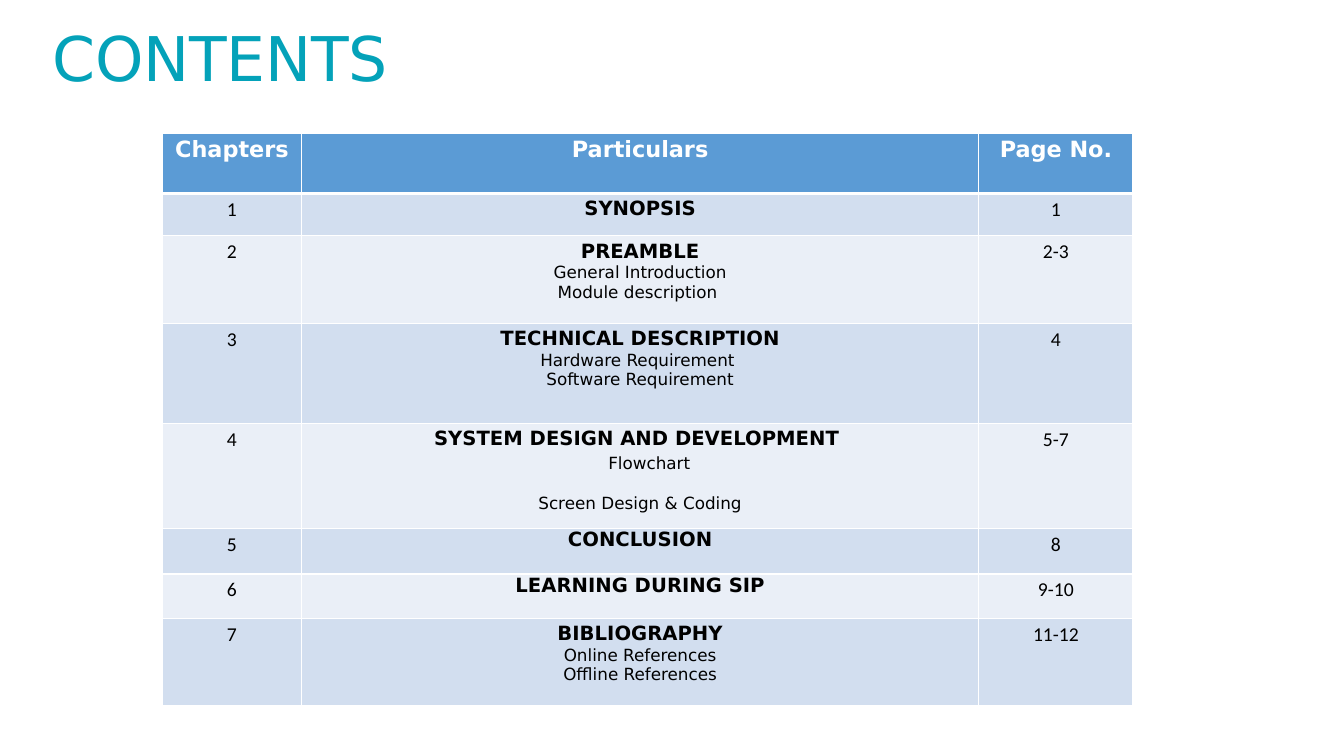
"""Build the contents slide: a title above a table of chapters."""
from lxml import etree
from pptx import Presentation
from pptx.dml.color import RGBColor
from pptx.enum.text import MSO_ANCHOR, MSO_AUTO_SIZE, PP_ALIGN
from pptx.oxml.ns import qn
from pptx.util import Pt

CENTER, LEFT = PP_ALIGN.CENTER, PP_ALIGN.LEFT
MIDDLE, NO_FIT = MSO_ANCHOR.MIDDLE, MSO_AUTO_SIZE.NONE
TITLE_ONLY = 5

HEADING_FONT, NUMBER_FONT = "DejaVu Sans", "Calibri"
TEAL, BLUE, WHITE, BLACK = "04A2B9", "5B9BD5", "FFFFFF", "000000"
BANDS = ("D2DEEF", "EAEFF7")

TITLE = "CONTENTS"
TITLE_BOX = (37.4, 13, 244.8, 54)
HEADINGS = ("Chapters", "Particulars", "Page No.")
CHAPTERS = [
    ("SYNOPSIS", [], "1"),
    ("PREAMBLE", ["General Introduction", "Module description "], "2-3"),
    ("TECHNICAL DESCRIPTION", ["Hardware Requirement ", "Software Requirement"], "4"),
    ("SYSTEM DESIGN AND DEVELOPMENT ", ["Flowchart", "Screen Design & Coding"], "5-7"),
    ("CONCLUSION", [], "8"),
    ("LEARNING DURING SIP", [], "9-10"),
    ("BIBLIOGRAPHY", ["Online References", "Offline References"], "11-12"),
]
SPACE_BEFORE = {"Flowchart": 2.5, "Screen Design & Coding": 14}
INDENT = {"Flowchart": 13}
TIGHT_CELLS = {"CONCLUSION", "LEARNING DURING SIP"}

TABLE_LEFT, TABLE_TOP = 116, 95
COLUMN_WIDTHS = (99.4, 483.8, 110.2)
ROW_HEIGHTS = (43.2, 30.2, 62.6, 71.6, 74.9, 32.6, 31.7, 62.6)


def color(value):
    return RGBColor.from_string(value)


def style(font, name, size, fill, bold=False):
    font.name, font.size, font.bold = name, Pt(size), bold
    font.color.rgb = color(fill)


def add_borders(cell, bottom, top):
    properties = cell._tc.get_or_add_tcPr()
    for side, width in (("L", 1), ("R", 1), ("T", top), ("B", bottom)):
        line = etree.SubElement(properties, qn(f"a:ln{side}"), w=str(Pt(width)))
        fill = etree.SubElement(line, qn("a:solidFill"))
        etree.SubElement(fill, qn("a:srgbClr"), val=WHITE)


def fill_cell(cell, lines, background, bottom=1, top=1):
    """Write (text, font, size, colour, bold) lines into a cell."""
    add_borders(cell, bottom, top)
    cell.fill.solid()
    cell.fill.fore_color.rgb = color(background)
    tight = lines[0][0] in TIGHT_CELLS
    cell.margin_left = cell.margin_right = Pt(4.3 if tight else 5.8)
    cell.margin_top = cell.margin_bottom = Pt(0 if tight else 2.9)
    cell.text_frame.text = "\n".join(line[0] for line in lines)
    for para, (text, *look) in zip(cell.text_frame.paragraphs, lines):
        para.alignment = CENTER
        if text in SPACE_BEFORE:
            para.space_before = Pt(SPACE_BEFORE[text])
        if text in INDENT:
            para._p.get_or_add_pPr().set("marL", str(Pt(INDENT[text])))
        style(para.runs[0].font, *look)


def add_title(page):
    title = page.shapes.title
    title.left, title.top, title.width, title.height = map(Pt, TITLE_BOX)
    frame = title.text_frame
    frame.text = TITLE
    frame.word_wrap, frame.auto_size = True, NO_FIT
    frame.vertical_anchor = MIDDLE
    frame.margin_left = frame.margin_right = frame.margin_bottom = 0
    frame.margin_top = Pt(1)
    para = frame.paragraphs[0]
    para.alignment = LEFT
    style(para.runs[0].font, HEADING_FONT, 44, TEAL)
    para.runs[0]._r.get_or_add_rPr().set("spc", "-20")


def add_contents(page):
    table = page.shapes.add_table(
        len(ROW_HEIGHTS), len(COLUMN_WIDTHS), Pt(TABLE_LEFT), Pt(TABLE_TOP),
        Pt(sum(COLUMN_WIDTHS)), Pt(sum(ROW_HEIGHTS))).table
    for column, width in zip(table.columns, COLUMN_WIDTHS):
        column.width = Pt(width)
    for row, height in zip(table.rows, ROW_HEIGHTS):
        row.height = Pt(height)
    for column, heading in enumerate(HEADINGS):
        fill_cell(table.cell(0, column), [(heading, HEADING_FONT, 16, WHITE, True)],
                  BLUE, bottom=3)
    for number, (name, topics, pages) in enumerate(CHAPTERS, 1):
        particulars = [(name, HEADING_FONT, 14, BLACK, True)]
        particulars += [(topic, HEADING_FONT, 12, BLACK, False) for topic in topics]
        contents = (
            [(str(number), NUMBER_FONT, 14, BLACK, False)],
            particulars,
            [(pages, NUMBER_FONT, 14, BLACK, False)],
        )
        for column, lines in enumerate(contents):
            fill_cell(table.cell(number, column), lines, BANDS[(number - 1) % 2],
                      top=3 if number == 1 else 1)


def main():
    deck = Presentation()
    deck.slide_width, deck.slide_height = Pt(960), Pt(540)
    page = deck.slides.add_slide(deck.slide_layouts[TITLE_ONLY])
    add_title(page)
    add_contents(page)
    deck.save("out.pptx")


if __name__ == "__main__":
    main()
